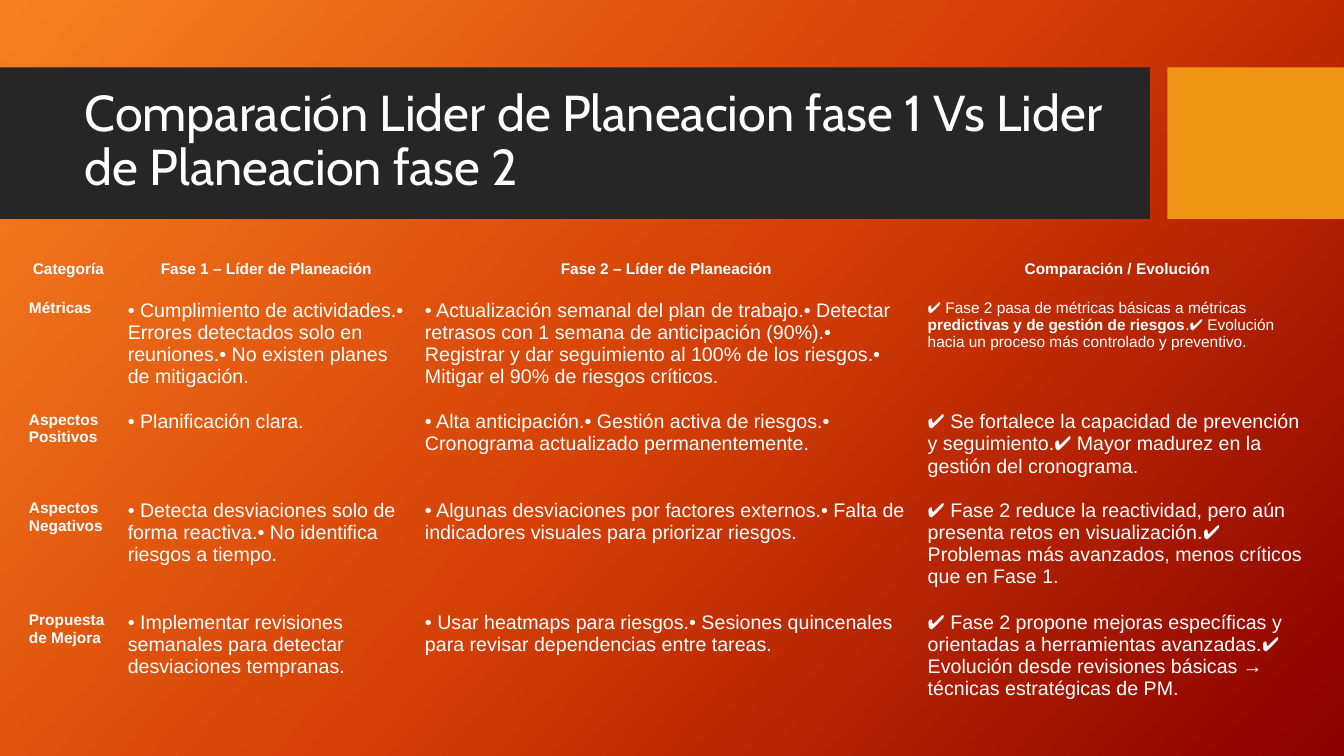
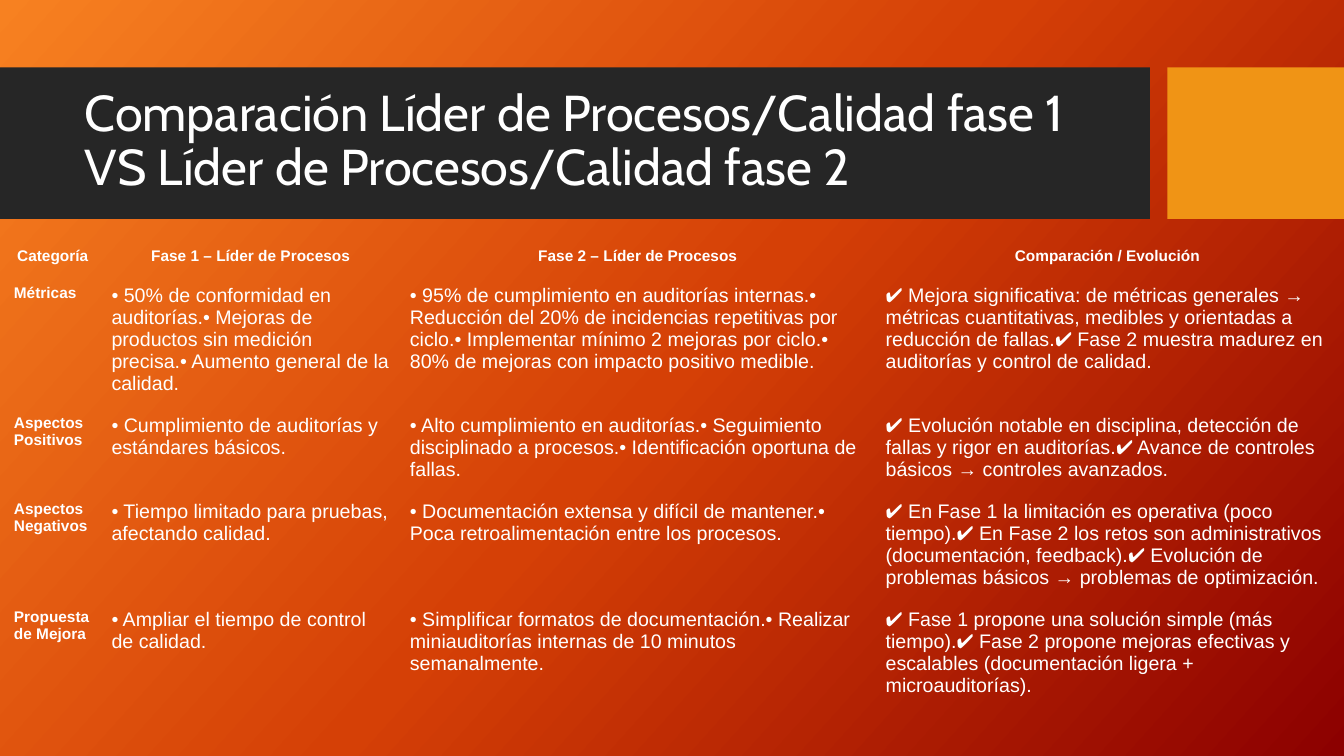
import copy

import pptx
import pptx.dml.color
import pptx.enum.shapes
import pptx.enum.text
import pptx.oxml.ns
import pptx.util

Cm = pptx.util.Cm
Pt = pptx.util.Pt
ALIGN = pptx.enum.text.PP_ALIGN

COLORS = {
    "text": "FFFFFF",
    "title band": "262626",
    "accent": "F09415",
    "glow": "F78121",
    "flame": "D54006",
    "ember": "8C0000",
}
GRADIENT = [(0, "glow"), (0.5, "flame"), (1, "ember")]
GRADIENT_ANGLE = 318  # counter-clockwise, so the dark end is bottom right
NO_STYLE_TABLE = "{2D5ABB26-0587-4C30-8999-92F81FD0307C}"

# Boxes are left, top, width, height in centimetres
BANDS = [
    ((0, 1.7, 28.98, 3.82), "title band"),
    ((29.42, 1.7, 4.45, 3.82), "accent"),
]
TITLE_BOX = (1.88, 2.08, 26.7, 3)
CELL_MARGIN = 0.25

TITLE_FONT = {"name": "Cabin", "size": Pt(36), "bold": False}
LABEL_FONT = {"name": "Arial", "size": Pt(11), "bold": True}
BODY_FONT = {"name": "Arial", "size": Pt(14), "bold": False}
NOTE_FONT = {"name": "Arial", "size": Pt(11), "bold": False}

CATEGORIES = ["Métricas", "Aspectos Positivos", "Aspectos Negativos", "Propuesta de Mejora"]

# Text between double asterisks is bold
COMPARISONS = [
    {
        "title": "Comparación Lider de Planeacion fase 1 Vs Lider de Planeacion fase 2",
        "role": "Líder de Planeación",
        "origin": (0.48, 6.25),
        "columns": [2.49, 7.49, 12.67, 10.06],
        "rows": [1.04, 2.82, 2.24, 2.82, 2.82],
        "body": [
            [
                "• Cumplimiento de actividades.• Errores detectados solo en reuniones."
                "• No existen planes de mitigación.",
                "• Actualización semanal del plan de trabajo.• Detectar retrasos con 1 semana "
                "de anticipación (90%).• Registrar y dar seguimiento al 100% de los riesgos."
                "• Mitigar el 90% de riesgos críticos.",
                "✔ Fase 2 pasa de métricas básicas a métricas **predictivas y de gestión de "
                "riesgos**.✔ Evolución hacia un proceso más controlado y preventivo.",
            ],
            [
                "• Planificación clara.",
                "• Alta anticipación.• Gestión activa de riesgos."
                "• Cronograma actualizado permanentemente.",
                "✔ Se fortalece la capacidad de prevención y seguimiento."
                "✔ Mayor madurez en la gestión del cronograma.",
            ],
            [
                "• Detecta desviaciones solo de forma reactiva."
                "• No identifica riesgos a tiempo.",
                "• Algunas desviaciones por factores externos."
                "• Falta de indicadores visuales para priorizar riesgos.",
                "✔ Fase 2 reduce la reactividad, pero aún presenta retos en visualización."
                "✔ Problemas más avanzados, menos críticos que en Fase 1.",
            ],
            [
                "• Implementar revisiones semanales para detectar desviaciones tempranas.",
                "• Usar heatmaps para riesgos."
                "• Sesiones quincenales para revisar dependencias entre tareas.",
                "✔ Fase 2 propone mejoras específicas y orientadas a herramientas avanzadas."
                "✔ Evolución desde revisiones básicas → técnicas estratégicas de PM.",
            ],
        ],
    },
    {
        "title": "Comparación Líder de Procesos/Calidad fase 1 VS "
                 "Líder de Procesos/Calidad fase 2",
        "role": "Líder de Procesos",
        "origin": (0.1, 5.92),
        "columns": [2.46, 7.52, 11.99, 11.68],
        "rows": [0.53, 1.7, 1.19, 1.7, 1.57],
        "body": [
            [
                "• 50% de conformidad en auditorías.• Mejoras de productos sin medición "
                "precisa.• Aumento general de la calidad.",
                "• 95% de cumplimiento en auditorías internas.• Reducción del 20% de "
                "incidencias repetitivas por ciclo.• Implementar mínimo 2 mejoras por ciclo."
                "• 80% de mejoras con impacto positivo medible.",
                "✔ Mejora significativa: de métricas generales → métricas cuantitativas, "
                "medibles y orientadas a reducción de fallas."
                "✔ Fase 2 muestra madurez en auditorías y control de calidad.",
            ],
            [
                "• Cumplimiento de auditorías y estándares básicos.",
                "• Alto cumplimiento en auditorías.• Seguimiento disciplinado a procesos."
                "• Identificación oportuna de fallas.",
                "✔ Evolución notable en disciplina, detección de fallas y rigor en auditorías."
                "✔ Avance de controles básicos → controles avanzados.",
            ],
            [
                "• Tiempo limitado para pruebas, afectando calidad.",
                "• Documentación extensa y difícil de mantener."
                "• Poca retroalimentación entre los procesos.",
                "✔ En Fase 1 la limitación es operativa (poco tiempo)."
                "✔ En Fase 2 los retos son administrativos (documentación, feedback)."
                "✔ Evolución de problemas básicos → problemas de optimización.",
            ],
            [
                "• Ampliar el tiempo de control de calidad.",
                "• Simplificar formatos de documentación."
                "• Realizar miniauditorías internas de 10 minutos semanalmente.",
                "✔ Fase 1 propone una solución simple (más tiempo)."
                "✔ Fase 2 propone mejoras efectivas y escalables "
                "(documentación ligera + microauditorías).",
            ],
        ],
    },
]


def color(name):
    return pptx.dml.color.RGBColor.from_string(COLORS[name])


def apply(target, values):
    """Set each attribute of target named in values."""
    for name, value in values.items():
        setattr(target, name, value)


def write(para, text, font):
    """Fill para with spans, making every second part between ** bold."""
    for index, part in enumerate(text.split("**")):
        span = para.add_run()
        span.text = part
        apply(span.font, font)
        span.font.color.rgb = color("text")
        if index % 2:
            span.font.bold = True


def paint_background(layout):
    fill = layout.background.fill
    fill.gradient()
    stop_list = layout.element.find(".//" + pptx.oxml.ns.qn("a:gsLst"))
    stop_list.append(copy.deepcopy(stop_list[0]))
    for stop, (position, name) in zip(fill.gradient_stops, GRADIENT):
        stop.position = position
        stop.color.rgb = color(name)
    fill.gradient_angle = GRADIENT_ANGLE


def add_bands(layout, page):
    """Draw the bands on page, then move them to the back of its layout."""
    for index, (box, name) in enumerate(BANDS):
        band = page.shapes.add_shape(
            pptx.enum.shapes.MSO_SHAPE.RECTANGLE, *map(Cm, box))
        band.shadow.inherit = False
        band.fill.solid()
        band.fill.fore_color.rgb = color(name)
        band.line.fill.background()
        band.element.nvSpPr.cNvPr.set("id", str(20 + index))
        layout.shapes.element.insert(2 + index, band.element)


def place_title(page, text, box):
    title = page.shapes.title
    apply(title, dict(zip(("left", "top", "width", "height"), map(Cm, box))))
    apply(title.text_frame, {
        "word_wrap": True,
        "auto_size": pptx.enum.text.MSO_AUTO_SIZE.NONE,
        "vertical_anchor": pptx.enum.text.MSO_ANCHOR.MIDDLE,
    })
    para = title.text_frame.paragraphs[0]
    apply(para, {"alignment": ALIGN.LEFT, "line_spacing": 0.9})
    write(para, text, TITLE_FONT)


def fill_cell(cell, text, is_header, is_label):
    cell.fill.background()
    for side in ("left", "top", "right", "bottom"):
        setattr(cell, "margin_" + side, Cm(CELL_MARGIN))
    para = cell.text_frame.paragraphs[0]
    if is_header:
        apply(para, {"alignment": ALIGN.CENTER, "line_spacing": 1.15})
    if is_header or is_label:
        font = LABEL_FONT
    else:
        font = NOTE_FONT if "**" in text else BODY_FONT
    write(para, text, font)


def add_comparison_table(page, comparison):
    role = comparison["role"]
    header = ["Categoría", f"Fase 1 – {role}", f"Fase 2 – {role}", "Comparación / Evolución"]
    lines = [header] + [
        [label] + texts for label, texts in zip(CATEGORIES, comparison["body"])]
    columns, rows = comparison["columns"], comparison["rows"]
    box = (*comparison["origin"], sum(columns), sum(rows))
    table = page.shapes.add_table(len(rows), len(columns), *map(Cm, box)).table
    apply(table, {"first_row": False, "horz_banding": False})
    style = table._tbl.tblPr.find(pptx.oxml.ns.qn("a:tableStyleId"))
    style.text = NO_STYLE_TABLE
    for column, width in zip(table.columns, columns):
        column.width = Cm(width)
    for row, height in zip(table.rows, rows):
        row.height = Cm(height)
    for row_index, texts in enumerate(lines):
        for column_index, text in enumerate(texts):
            fill_cell(table.cell(row_index, column_index), text,
                      row_index == 0, column_index == 0)


def add_comparison_page(deck, layout, comparison):
    page = deck.slides.add_slide(layout)
    place_title(page, comparison["title"], TITLE_BOX)
    add_comparison_table(page, comparison)
    return page


def main():
    deck = pptx.Presentation()
    apply(deck, {"slide_width": Cm(33.87), "slide_height": Cm(19.05)})
    layout = deck.slide_layouts.get_by_name("Title Only")
    paint_background(layout)
    pages = [add_comparison_page(deck, layout, item) for item in COMPARISONS]
    add_bands(layout, pages[0])
    deck.save("out.pptx")


if __name__ == "__main__":
    main()
